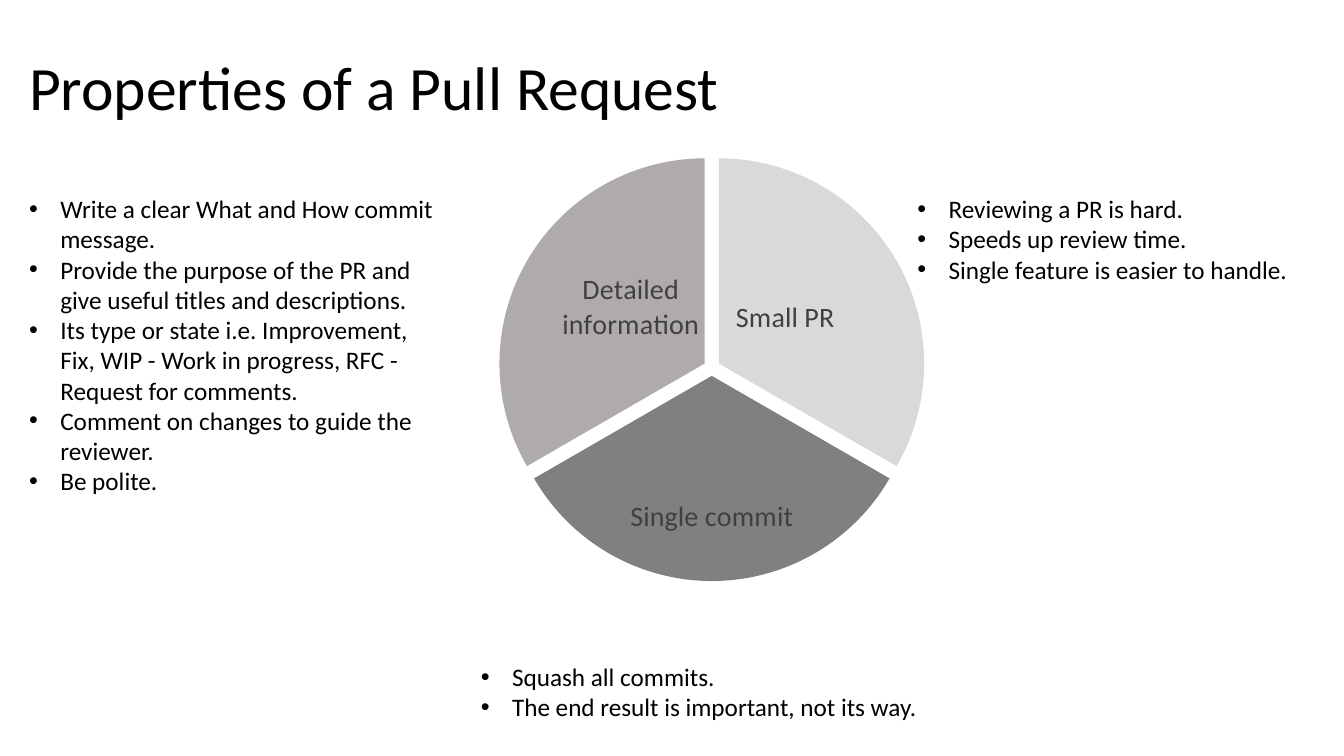
from lxml import etree
from pptx import Presentation
from pptx.chart.data import CategoryChartData
from pptx.dml.color import RGBColor
from pptx.enum.chart import XL_CHART_TYPE, XL_LABEL_POSITION
from pptx.enum.text import MSO_ANCHOR
from pptx.oxml import parse_xml
from pptx.oxml.ns import nsdecls, qn
from pptx.util import Inches, Pt

FONT = "Calibri"
BLACK = RGBColor(0x00, 0x00, 0x00)
LABEL_GREY = RGBColor(0x40, 0x40, 0x40)
LIGHT_GREY = RGBColor(0xD9, 0xD9, 0xD9)
DARK_GREY = RGBColor(0x80, 0x80, 0x80)
WARM_GREY = RGBColor(0xAF, 0xAB, 0xAB)

SLICES = [
    ("Small PR", LIGHT_GREY, (-0.03, 0.01)),
    ("Single commit", DARK_GREY, (0, 0.07)),
    ("Detailed information", WARM_GREY, (0.02, -0.01)),
]
DETAILS = [
    "Write a clear What and How commit message.",
    "Provide the purpose of the PR and give useful titles and descriptions.",
    "Its type or state i.e. Improvement, Fix, WIP - Work in progress, "
    "RFC - Request for comments.",
    "Comment on changes to guide the reviewer.",
    "Be polite.",
]
COMMITS = ["Squash all commits.", "The end result is important, not its way."]
SMALL_PR = [
    "Reviewing a PR is hard.",
    "Speeds up review time.",
    "Single feature is easier to handle.",
]


def style_font(font, size, color):
    """Apply the slide's typeface with a size and colour."""
    for name, value in {"name": FONT, "size": Pt(size)}.items():
        setattr(font, name, value)
    font.color.rgb = color


def add_text(s, box, lines, size):
    """Add a wrapped text box with one paragraph per line."""
    tf = s.shapes.add_textbox(*map(Inches, box)).text_frame
    tf.word_wrap = True
    for i, line in enumerate(lines):
        p = tf.add_paragraph() if i else tf.paragraphs[0]
        r = p.add_run()
        r.text = line
        style_font(r.font, size, BLACK)
    return tf


def add_bullets(s, box, lines):
    """Add a bulleted list with a hanging indent."""
    indent = Inches(0.31)
    for p in add_text(s, box, lines, 18).paragraphs:
        pPr = p._p.get_or_add_pPr()
        for name, value in {"marL": indent, "indent": -indent}.items():
            pPr.set(name, str(value))
        etree.SubElement(pPr, qn("a:buFont")).set("typeface", "Arial")
        etree.SubElement(pPr, qn("a:buChar")).set("char", "•")


def make_layout(**values):
    """Return a manual chart layout element."""
    items = "".join(f'<c:{k} val="{v}"/>' for k, v in values.items())
    return parse_xml(
        f'<c:layout {nsdecls("c")}><c:manualLayout>{items}'
        "</c:manualLayout></c:layout>"
    )


def style_slice(point, color, offset):
    """Colour a slice and place its category label."""
    point.format.fill.solid()
    point.format.fill.fore_color.rgb = color
    label = point.data_label
    style_font(label.font, 20, LABEL_GREY)
    label.position = XL_LABEL_POSITION.CENTER
    dLbl = label._dLbl
    dLbl.find(qn("c:showVal")).set("val", "0")
    dLbl.find(qn("c:showCatName")).set("val", "1")
    dLbl.find(qn("c:idx")).addnext(make_layout(x=offset[0], y=offset[1]))


def add_pie(s, box):
    """Add the exploded pie of equal slices."""
    data = CategoryChartData()
    data.categories = [name for name, _, _ in SLICES]
    data.add_series("Series 1", [33] * len(SLICES))
    chart = s.shapes.add_chart(
        XL_CHART_TYPE.PIE, *map(Inches, box), data
    ).chart
    for name in ("has_legend", "has_title"):
        setattr(chart, name, False)
    style_font(chart.font, 10, BLACK)
    plot = chart.plots[0]
    plot.vary_by_categories = True
    series = plot.series[0]
    for i, (_, color, offset) in enumerate(SLICES):
        style_slice(series.points[i], color, offset)
    explosion = parse_xml(f'<c:explosion {nsdecls("c")} val="4"/>')
    series._element.find(qn("c:dPt")).addprevious(explosion)
    area = chart._chartSpace.chart.plotArea
    for old in area.findall(qn("c:layout")):
        area.remove(old)
    area.insert(0, make_layout(
        layoutTarget="inner", xMode="edge", yMode="edge",
        x=0.24, y=0.06, w=0.57, h=0.78,
    ))


def main():
    """Build and save the slide."""
    prs = Presentation()
    prs.slide_width, prs.slide_height = Inches(13.33), Inches(7.5)
    s = prs.slides.add_slide(prs.slide_layouts[6])
    add_pie(s, (3.16, 1.2, 7.43, 5.44))
    add_bullets(s, (0.19, 1.87, 4.25, 3.43), DETAILS)
    add_bullets(s, (4.67, 6.51, 5.42, 0.71), COMMITS)
    add_bullets(s, (9, 1.87, 4.28, 1.01), SMALL_PR)
    title = add_text(
        s, (0.19, 0.17, 11.5, 1.45), ["Properties of a Pull Request"], 44
    )
    title.vertical_anchor = MSO_ANCHOR.MIDDLE
    title.paragraphs[0].line_spacing = 0.9
    prs.save("out.pptx")


main()
